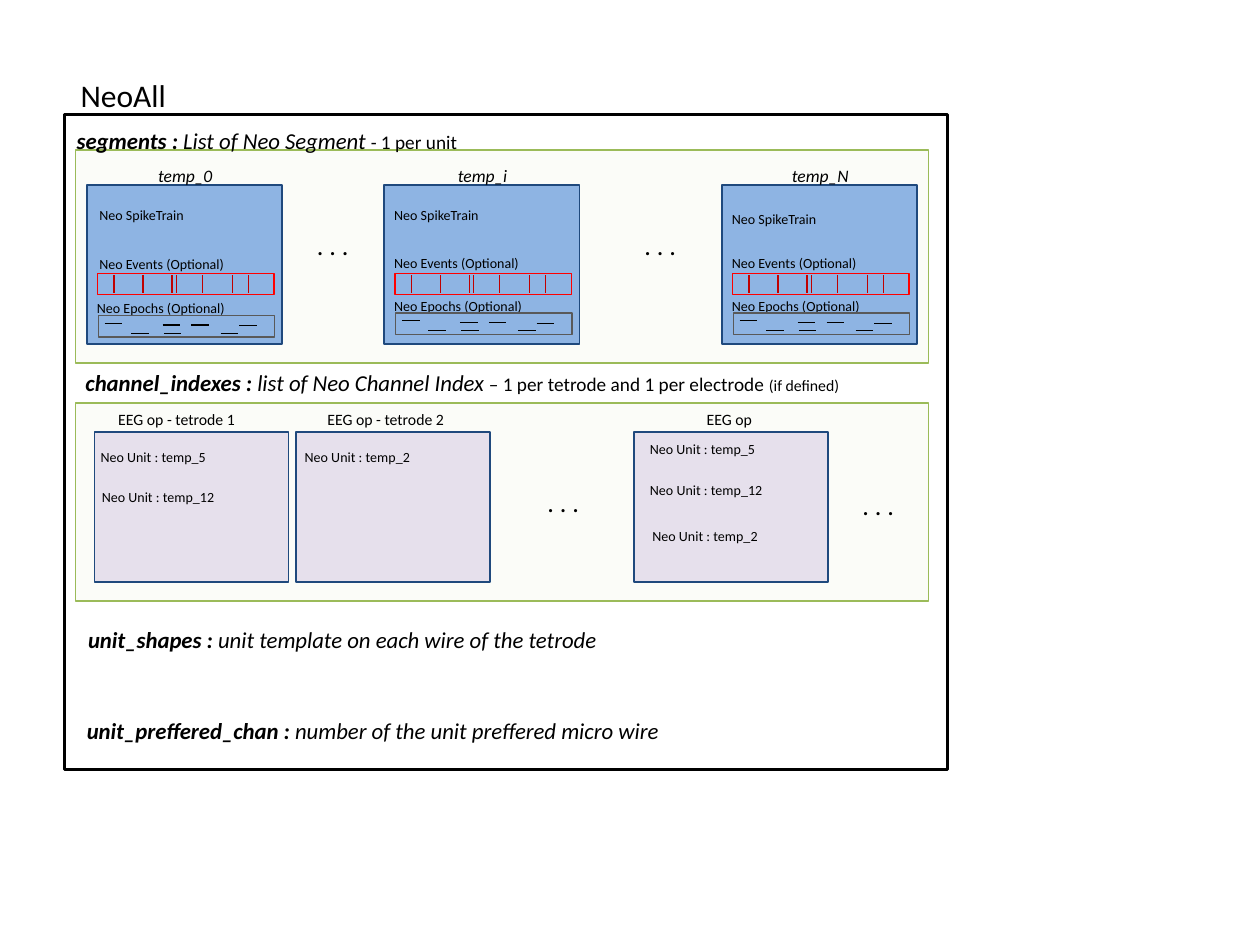
from lxml import etree
from pptx import Presentation
from pptx.dml.color import RGBColor
from pptx.enum.shapes import MSO_CONNECTOR, MSO_SHAPE
from pptx.enum.text import MSO_ANCHOR, MSO_AUTO_SIZE, PP_ALIGN
from pptx.oxml.ns import qn
from pptx.util import Inches, Pt

COLORS = {
    "ink": "000000", "panel": "EBF1DE", "panel_edge": "9BBB59",
    "segment": "8EB4E3", "channel": "E6E0EC", "box_edge": "1F497D",
    "event_frame": "FF0000", "event": "C00000", "epoch_frame": "595959",
}
COLUMNS, ROWS = 100, 75  # square grid cells over the whole slide

deck = Presentation()
deck.slide_width, deck.slide_height = Inches(10), Inches(7.5)
CELL = deck.slide_width / COLUMNS
slide = deck.slides.add_slide(deck.slide_layouts[5])


def write(text, left, top, width, height, size=8, bold=False, italic=False,
          centered=False, wrap=True, holder=None):
    """Write a string, or (text, size, bold, italic) runs, at a grid position."""
    bounds = [round(n * CELL) for n in (left, top, width, height)]
    if holder is None:
        holder = slide.shapes.add_textbox(*bounds)
    holder.left, holder.top, holder.width, holder.height = bounds
    frame = holder.text_frame
    frame.word_wrap = wrap
    frame.auto_size = MSO_AUTO_SIZE.SHAPE_TO_FIT_TEXT
    frame.vertical_anchor = MSO_ANCHOR.TOP
    paragraph = frame.paragraphs[0]
    paragraph.alignment = PP_ALIGN.CENTER if centered else PP_ALIGN.LEFT
    runs = [(text, size, bold, italic)] if isinstance(text, str) else text
    for words, points, is_bold, is_italic in runs:
        run = paragraph.add_run()
        run.text = words
        run.font.name, run.font.size = "Calibri", Pt(points)
        run.font.bold, run.font.italic = is_bold, is_italic
        run.font.color.rgb = RGBColor.from_string(COLORS["ink"])


def draw_box(left, top, width, height, edge, weight=1, fill=None, opacity=100):
    box = slide.shapes.add_shape(
        MSO_SHAPE.RECTANGLE, *[round(n * CELL) for n in (left, top, width, height)])
    box.shadow.inherit = False
    box.line.color.rgb = RGBColor.from_string(COLORS[edge])
    box.line.width = Pt(weight)
    if fill is None:
        box.fill.background()
        return
    box.fill.solid()
    box.fill.fore_color.rgb = RGBColor.from_string(COLORS[fill])
    if opacity < 100:
        color = box._element.spPr.find(qn("a:solidFill"))[0]
        etree.SubElement(color, qn("a:alpha")).set("val", str(opacity * 1000))


# Frame, title and the two panels
draw_box(5.1, 9.1, 70.1, 52, "ink", 1.5)
write("NeoAll", 5.4, 5.5, 11, 4, size=18, holder=slide.shapes.title)
for panel_top, panel_height in ((11.9, 16.9), (32, 15.7)):
    draw_box(6, panel_top, 67.7, panel_height, "panel_edge", fill="panel", opacity=20)

# Attribute headings
headings = [
    (5.1, 9.6, 57.5, "segments : ", "List of Neo Segment ", [("- 1 per unit", 11)]),
    (5.8, 28.8, 69.4, "channel_indexes : ", "list of Neo Channel Index ",
     [("– 1 per tetrode and 1 per electrode ", 11), ("(if defined)", 9)]),
    (6, 49.2, 57.5, "unit_shapes : ", "unit template on each wire of the tetrode", []),
    (5.9, 56.4, 57.5, "unit_preffered_chan : ",
     "number of the unit preffered micro wire", []),
]
for left, top, width, attribute, meaning, details in headings:
    write([(attribute, 13, True, True), (meaning, 13, False, True)]
          + [(detail, size, False, False) for detail, size in details],
          left, top, width, 3.2)

# Segments: name, left, label shift, spike top, events top, epochs top
segments = [
    ("temp_0", 6.9, 0, 15.9, 19.8, 23.3),
    ("temp_i", 30.5, -0.2, 15.9, 19.7, 23.1),
    ("temp_N", 57.3, -0.2, 16.2, 19.7, 23.1),
]
EVENT_TIMES = (1.3, 3.6, 5.9, 6.25, 8.3, 10.7, 11.95)
EPOCHS = ((0.5, 0.6), (2.6, 1.4), (5.1, 0.75), (5.2, 1.4),
          (7.4, 0.75), (9.7, 1.4), (11.2, 0.8))
strokes = []
for name, left, shift, spike_top, events_top, epochs_top in segments:
    draw_box(left, 14.7, 15.5, 12.6, "box_edge", fill="segment")
    write(name, left + 4, 12.6, 7.6, 2.7, size=10, italic=True, centered=True)
    for label, label_left, label_top in (
            ("Neo SpikeTrain", left + shift, spike_top),
            ("Neo Events (Optional)", left + shift, events_top),
            ("Neo Epochs (Optional)", left - 0.2, epochs_top)):
        write(label, label_left, label_top, 13.8, 2.4)
    events_left, epochs_left, epoch_frame_top = left + 0.85, left + 0.9, epochs_top + 1.75
    draw_box(events_left, 21.7, 14, 1.7, "event_frame", 0.75)
    draw_box(epochs_left, epoch_frame_top, 14, 1.7, "epoch_frame", 0.75)
    for time in EVENT_TIMES:
        strokes.append((events_left + time, 23.25, events_left + time, 21.8, "event"))
    for start, drop in EPOCHS:
        x, y = epochs_left + start, epoch_frame_top + drop
        strokes.append((x, y, x + 1.4, y, "ink"))

for *ends, color in strokes:
    stroke = slide.shapes.add_connector(
        MSO_CONNECTOR.STRAIGHT, *[round(n * CELL) for n in ends])
    stroke.line.color.rgb = RGBColor.from_string(COLORS[color])
    stroke.line.width = Pt(0.75)
    etree.SubElement(stroke._element.spPr, qn("a:effectLst"))

# Channel indexes: name, name left, name width, box left, units as (name, left, top)
channels = [
    ("EEG op - tetrode 1", 8.4, 11.4, 7.5, [("temp_5", 7, 35.1), ("temp_12", 7.1, 38.3)]),
    ("EEG op - tetrode 2", 25, 11.4, 23.5, [("temp_2", 23.2, 35.1)]),
    ("EEG op", 55.1, 5.9, 50.3,
     [("temp_5", 50.6, 34.5), ("temp_12", 50.6, 37.7), ("temp_2", 50.8, 41.4)]),
]
for name, name_left, name_width, box_left, units in channels:
    draw_box(box_left, 34.3, 15.4, 11.9, "box_edge", fill="channel")
    write(name, name_left, 32, name_width, 2.5, size=9, wrap=False)
    for unit, left, top in units:
        write(f"Neo Unit : {unit}", left, top, 11.2 if unit == "temp_12" else 10.7,
              2.4, wrap=False)

# Gaps in both lists
for left, top, width in ((19.3, 17.7, 14.2), (45.3, 17.7, 14.2),
                         (41, 38.1, 7.4), (66, 38.3, 7.4)):
    write(". . .", left, top, width, 3.5, size=15, centered=True)

deck.save("out.pptx")
